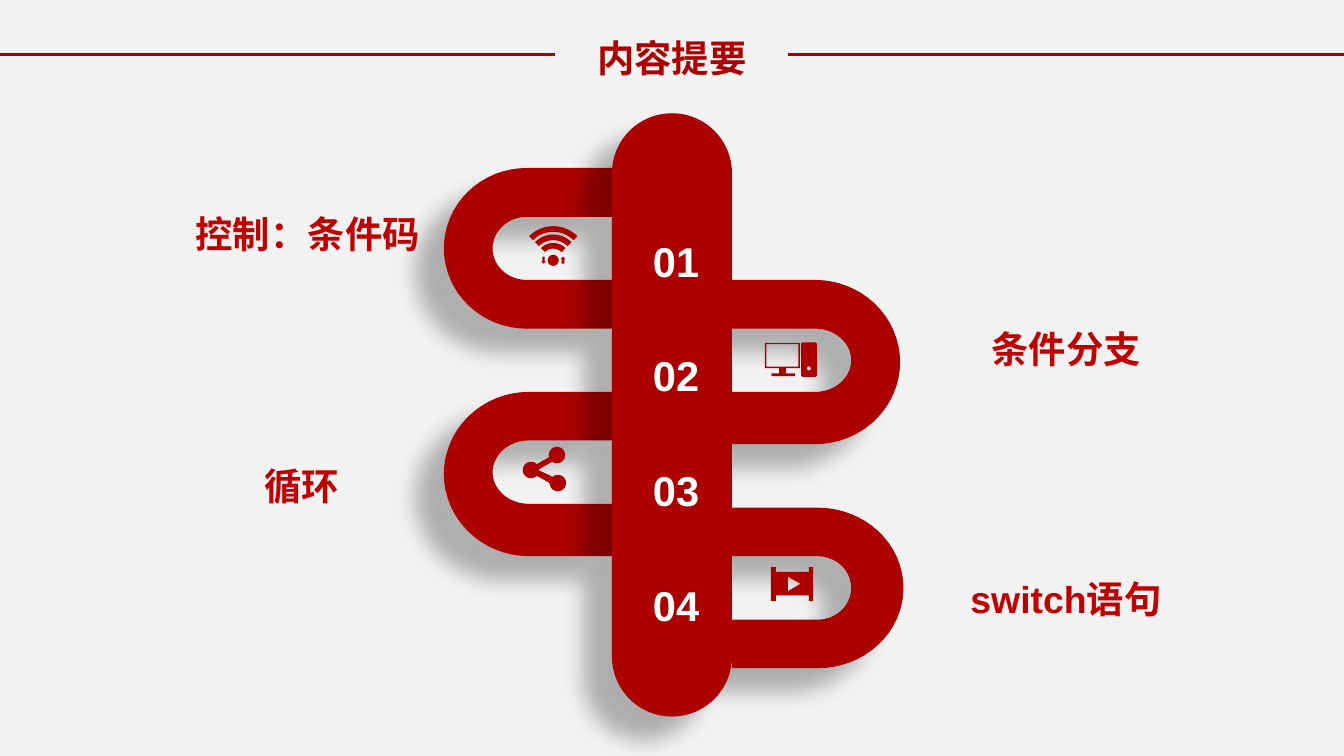
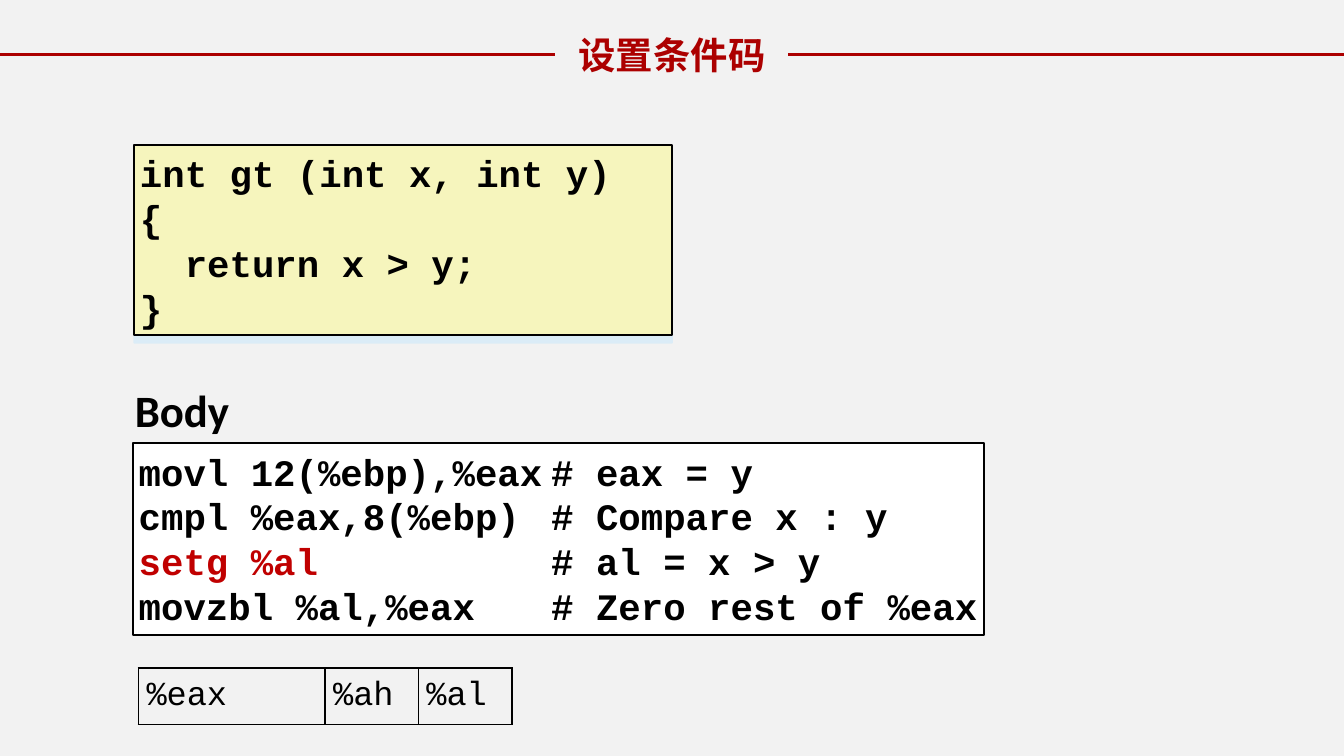
from math import cos, radians, sin

from lxml import etree
from pptx import Presentation
from pptx.dml.color import RGBColor
from pptx.enum.shapes import MSO_CONNECTOR, MSO_SHAPE
from pptx.enum.text import MSO_ANCHOR, MSO_AUTO_SIZE, PP_ALIGN
from pptx.oxml.ns import qn
from pptx.util import Pt

CRIMSON = RGBColor(0xAC, 0x00, 0x00)
RED = RGBColor(0xC0, 0x00, 0x00)
BLACK = RGBColor(0x00, 0x00, 0x00)
WHITE = RGBColor(0xFF, 0xFF, 0xFF)
PAPER = RGBColor(0xF2, 0xF2, 0xF2)
CREAM = RGBColor(0xF6, 0xF5, 0xBD)

CJK = "Noto Sans CJK SC"
SANS = "Arial"
MONO = "Courier New"

STRAIGHT = MSO_CONNECTOR.STRAIGHT
OVAL, RECT, PILL = MSO_SHAPE.OVAL, MSO_SHAPE.RECTANGLE, MSO_SHAPE.ROUNDED_RECTANGLE
UP_ARROW, DOWN_ARROW = MSO_SHAPE.UP_ARROW, MSO_SHAPE.DOWN_ARROW
CENTER, LEFT = PP_ALIGN.CENTER, PP_ALIGN.LEFT
TOP, MIDDLE = MSO_ANCHOR.TOP, MSO_ANCHOR.MIDDLE
GROW, FIXED = MSO_AUTO_SIZE.SHAPE_TO_FIT_TEXT, MSO_AUTO_SIZE.NONE

PAGE_WIDTH, PAGE_HEIGHT = 720, 405
RULE_Y, RULE_LENGTH = 29.2, 297.6
COLUMN_LEFT, COLUMN_RIGHT = 327.86, 392.14
# Colour, opacity %, blur, distance, direction in degrees
DEEP_SHADOW = ("000000", 28, 11.8, 19.7, 141)
EDGE_SHADOW = ("C6E7FC", 50, 0, 4, 90)


def points(*values):
    return [Pt(value) for value in values]


def style(para, font, size, color, bold=True, align=LEFT):
    para.alignment = align
    para.font.size = Pt(size)
    para.font.bold = bold
    para.font.color.rgb = color
    para.font.name = font
    latin = para._p.pPr.find(qn("a:defRPr")).find(qn("a:latin"))
    east_asian = etree.Element(qn("a:ea"), typeface=CJK)
    latin.addnext(east_asian)


def set_frame(frame, insets, wrap=True, fit=FIXED):
    frame.margin_left, frame.margin_top, frame.margin_right, frame.margin_bottom = points(*insets)
    frame.vertical_anchor = TOP
    frame.word_wrap = wrap
    frame.auto_size = fit


def paint(shape, fill=CRIMSON, line=None, shadow=None):
    shape.fill.solid()
    shape.fill.fore_color.rgb = fill
    if line is None:
        shape.line.fill.background()
    else:
        shape.line.color.rgb = line
        shape.line.width = Pt(1)
    shape.shadow.inherit = False
    if shadow:
        color, opacity, blur, distance, angle = shadow
        effects = shape._element.spPr.find(qn("a:effectLst"))
        outer = etree.SubElement(effects, qn("a:outerShdw"), blurRad=str(Pt(blur)),
                                 dist=str(Pt(distance)), dir=str(angle * 60000),
                                 algn="ctr", rotWithShape="0")
        tint = etree.SubElement(outer, qn("a:srgbClr"), val=color)
        etree.SubElement(tint, qn("a:alpha"), val=str(opacity * 1000))


def add_preset(shapes, kind, box, **look):
    shape = shapes.add_shape(kind, *points(*box))
    paint(shape, **look)
    return shape


def add_outline(shapes, *contours, shadow=None):
    """Draw closed contours as one shape; an inner contour becomes a hole."""
    pens = [[points(*spot) for spot in contour] for contour in contours]
    builder = shapes.build_freeform(*pens[0][0])
    for index, pen in enumerate(pens):
        if index:
            builder.move_to(*pen[0])
        builder.add_line_segments(pen[1:], close=True)
    paint(builder.convert_to_shape(), shadow=shadow)


def arc(x, y, radius_x, radius_y, start, end, steps=32):
    angles = [radians(start + (end - start) * step / steps) for step in range(steps + 1)]
    return [(x + radius_x * cos(angle), y + radius_y * sin(angle)) for angle in angles]


def block(left, top, right, bottom):
    return [(left, top), (right, top), (right, bottom), (left, bottom)]


def add_text(page, text, box, font, size, color, bold=True, align=LEFT,
             insets=(7.2, 3.6, 7.2, 3.6), spacing=None, wrap=True, fit=FIXED):
    frame = page.shapes.add_textbox(*points(*box)).text_frame
    set_frame(frame, insets, wrap, fit)
    para = frame.paragraphs[0]
    para.text = text
    style(para, font, size, color, bold, align)
    para.line_spacing = spacing


def add_page(deck, title, title_top):
    page = deck.slides.add_slide(deck.slide_layouts[5])
    for start in (0, PAGE_WIDTH - RULE_LENGTH):
        rule = page.shapes.add_connector(
            STRAIGHT, *points(start, RULE_Y, start + RULE_LENGTH, RULE_Y))
        rule.line.color.rgb = CRIMSON
        rule.line.width = Pt(2)
        etree.SubElement(rule._element.spPr, qn("a:effectLst"))
    heading = page.shapes.title
    heading.left, heading.top, heading.width, heading.height = points(
        RULE_LENGTH, title_top, PAGE_WIDTH - 2 * RULE_LENGTH, 31.5)
    set_frame(heading.text_frame, (7.2, 3.6, 7.2, 3.6), fit=GROW)
    heading.text_frame.text = title
    style(heading.text_frame.paragraphs[0], CJK, 20, CRIMSON, align=CENTER)
    return page


def add_hook(page, edge, bend, tips, levels):
    """Draw a U-shaped band that opens towards the column edge."""
    outer_tip, inner_tip = tips
    top, inner_top, inner_bottom, bottom = levels

    def half_ring(tip, upper, lower):
        return arc(bend, (upper + lower) / 2, tip - bend, (lower - upper) / 2, -90, 90)

    outer = half_ring(outer_tip, top, bottom)
    inner = half_ring(inner_tip, inner_top, inner_bottom)
    add_outline(page.shapes,
                [(edge, top), *outer, (edge, bottom),
                 (edge, inner_bottom), *reversed(inner), (edge, inner_top)],
                shadow=DEEP_SHADOW)


def add_computer_icon(page):
    icon = page.shapes.add_group_shape().shapes
    monitor = [(409.8, 183.7), (428.5, 183.7), (428.5, 197.2), (421, 197.2),
               (421, 200), (425.8, 200), (425.8, 201.5), (413.2, 201.5),
               (413.2, 200), (417.4, 200), (417.4, 197.2), (409.8, 197.2)]
    add_outline(icon, monitor, block(410.6, 184.4, 427.7, 196.4))
    left, top, right, bottom, corner = 429.1, 183.4, 437.7, 201.9, 1.2
    tower = [*arc(left + corner, top + corner, corner, corner, 180, 270, 6),
             *arc(right - corner, top + corner, corner, corner, 270, 360, 6),
             *arc(right - corner, bottom - corner, corner, corner, 0, 90, 6),
             *arc(left + corner, bottom - corner, corner, corner, 90, 180, 6)]
    add_outline(icon, tower, arc(433.3, 197.4, 1.1, 1.1, 0, 360))


def add_wifi_icon(page):
    icon = page.shapes.add_group_shape().shapes
    x, y, thickness = 296.4, 139.5, 3
    for radius in (9.3, 13.8, 18.3):
        inner = radius - thickness
        add_outline(icon, arc(x, y, radius, radius, -135, -45)
                    + arc(x, y, inner, inner, -45, -135))
    add_preset(icon, OVAL, (x - 3, y - 3, 6, 6))
    add_preset(icon, UP_ARROW, (300.2, 137.5, 2.8, 3.8))
    add_preset(icon, DOWN_ARROW, (290, 137.5, 2.4, 3.8))


def add_share_icon(page):
    radius = 4.4
    add_outline(page.shapes, [
        (288.8, 252), (288.8, 251.4),
        *arc(298.4, 243.8, radius, radius, 125, -195),
        *arc(284.5, 251.8, radius, radius, -45, -315),
        *arc(298.9, 258.8, radius, radius, 180, -130)])


def add_film_icon(page):
    left, post_left, post_right, right = 413, 415.6, 433.4, 435.6
    top, body_top, body_bottom, bottom = 303.8, 306.4, 319, 321.9
    frame = [(left, top), (post_left, top), (post_left, body_top), (post_right, body_top),
             (post_right, top), (right, top), (right, bottom), (post_right, bottom),
             (post_right, body_bottom), (post_left, body_bottom), (post_left, bottom),
             (left, bottom)]
    add_outline(page.shapes, frame, [(422.1, 309), (428.9, 312.8), (422.1, 316.7)])


def add_code(page, lines, box, fill, shadow=None, tab=None):
    """Each line is a list of (text, colour) spans."""
    frame = add_preset(page.shapes, RECT, box, fill=fill, line=BLACK, shadow=shadow).text_frame
    set_frame(frame, (3, 3, 3, 3))
    for index, line in enumerate(lines):
        para = frame.add_paragraph() if index else frame.paragraphs[0]
        style(para, MONO, 20, BLACK)
        for text, color in line:
            span = para.add_run()
            span.text = text
            if color != BLACK:
                span.font.color.rgb = color
        if tab:
            stops = etree.Element(qn("a:tabLst"))
            etree.SubElement(stops, qn("a:tab"), pos=str(Pt(tab)), algn="l")
            para._p.pPr.find(qn("a:defRPr")).addprevious(stops)


def add_borders(cell):
    properties = cell._tc.get_or_add_tcPr()
    for index, side in enumerate(("a:lnL", "a:lnR", "a:lnT", "a:lnB")):
        line = etree.Element(qn(side), w=str(Pt(1)))
        fill = etree.SubElement(line, qn("a:solidFill"))
        etree.SubElement(fill, qn("a:srgbClr"), val=str(BLACK))
        properties.insert(index, line)


def add_register_table(page, names, widths, left, top, height):
    table = page.shapes.add_table(
        1, len(names), *points(left, top, sum(widths), height)).table
    table.first_row = table.horz_banding = False
    table.rows[0].height = Pt(height)
    for index, (name, width) in enumerate(zip(names, widths)):
        table.columns[index].width = Pt(width)
        cell = table.cell(0, index)
        cell.text = name
        cell.margin_left = cell.margin_right = cell.margin_top = cell.margin_bottom = Pt(4.3)
        cell.vertical_anchor = MIDDLE
        cell.fill.background()
        style(cell.text_frame.paragraphs[0], MONO, 18, BLACK, bold=False)
        add_borders(cell)


def build_contents(deck):
    page = add_page(deck, "内容提要", 15.1)
    hooks = [
        (COLUMN_LEFT, 282.2, (237.8, 263.9), (90, 116.2, 150, 176.1)),
        (COLUMN_RIGHT, 436.6, (482.2, 456), (150, 176.1, 210, 238)),
        (COLUMN_LEFT, 283.4, (237.8, 263.9), (210, 236, 270, 298)),
        (COLUMN_RIGHT, 438, (484, 456), (272, 298, 332, 358)),
    ]
    for hook in hooks:
        add_hook(page, *hook)
    add_computer_icon(page)
    add_wifi_icon(page)
    add_share_icon(page)
    add_film_icon(page)
    column = add_preset(page.shapes, PILL,
                        (COLUMN_LEFT, 60.7, COLUMN_RIGHT - COLUMN_LEFT, 323.2),
                        shadow=DEEP_SHADOW)
    column.adjustments[0] = 0.5

    topics = [("控制：条件码", 92.5, 103, 144.7), ("条件分支", 507.6, 164.5, 127.4),
              ("循环", 97.9, 238.3, 127.4), ("switch语句", 507.4, 298.4, 127.4)]
    for index, (topic, left, top, width) in enumerate(topics):
        add_text(page, topic, (left, top, width, 33.8), SANS, 20, RED, align=CENTER,
                 insets=(5, 2.9, 5, 2.9), spacing=1.3, fit=GROW)
        add_text(page, f"{index + 1:02}", (342.7, 114.7 + 61.4 * index, 39.6, 42.5),
                 SANS, 22.3, WHITE, spacing=1.3, wrap=False, fit=GROW)


def build_condition_codes(deck):
    page = add_page(deck, "设置条件码", 13.7)
    assembly = [
        [("movl 12(%ebp),%eax\t# eax = y", BLACK)],
        [("cmpl %eax,8(%ebp)\t# Compare x : y", BLACK)],
        [("setg %al", RED), ("\t# al = x > y", BLACK)],
        [("movzbl %al,%eax\t# Zero rest of %eax", BLACK)],
    ]
    add_code(page, assembly, (71.3, 237.4, 456, 102.8), WHITE, tab=221)
    source = ["int gt (int x, int y)", "{", "  return x > y;", "}"]
    add_code(page, [[(line, BLACK)] for line in source], (72, 77.7, 288, 102), CREAM,
             shadow=EDGE_SHADOW)
    add_text(page, "Body", (69.2, 202, 92.2, 35.3), "Calibri", 24, BLACK,
             insets=(3, 3, 3, 3))
    add_register_table(page, ["%eax", "%ah", "%al"], [100, 50, 50], 74.2, 358, 29.8)


def main():
    deck = Presentation()
    deck.slide_width, deck.slide_height = points(PAGE_WIDTH, PAGE_HEIGHT)
    backdrop = deck.slide_master.background.fill
    backdrop.solid()
    backdrop.fore_color.rgb = PAPER
    build_contents(deck)
    build_condition_codes(deck)
    deck.save("out.pptx")


if __name__ == "__main__":
    main()
